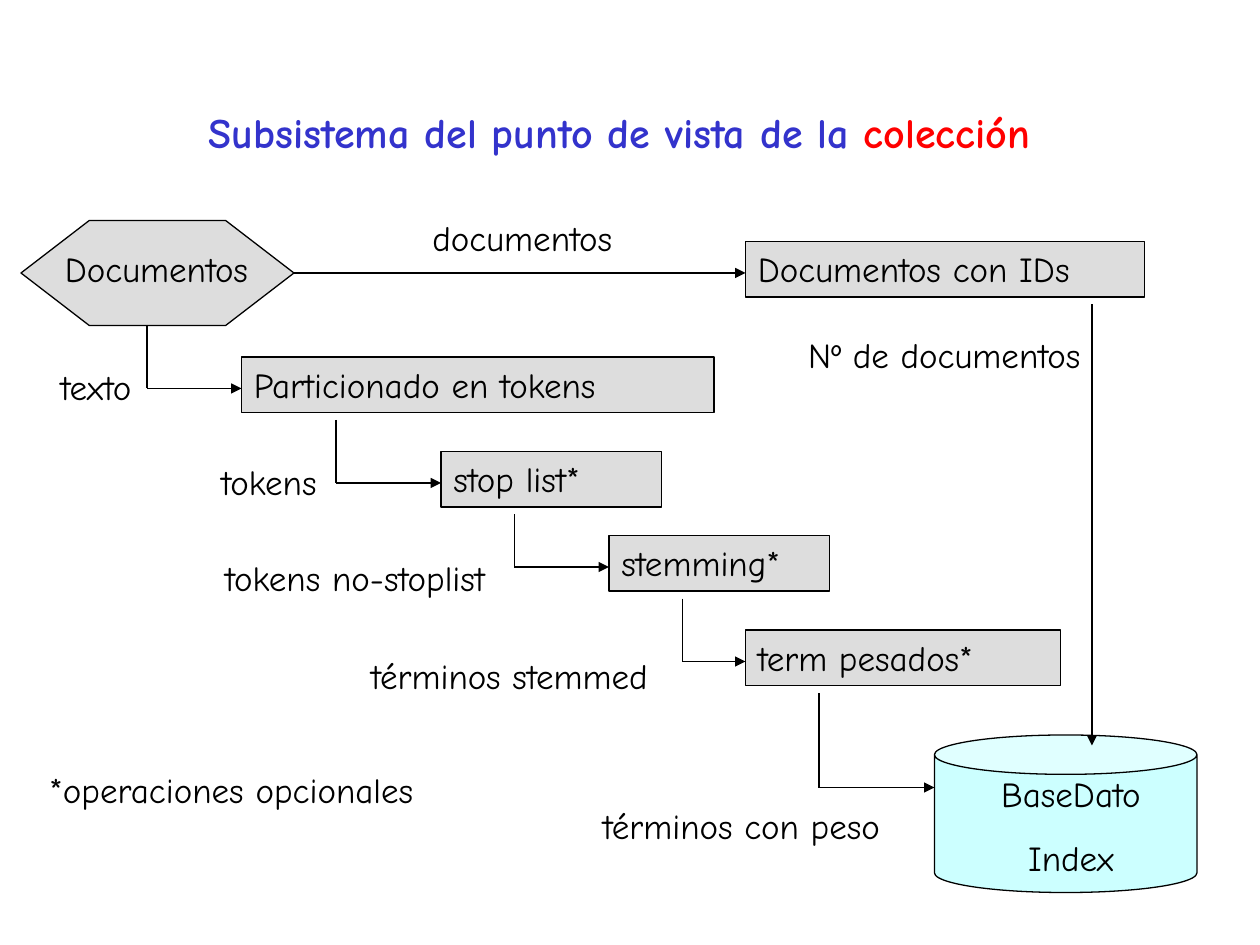
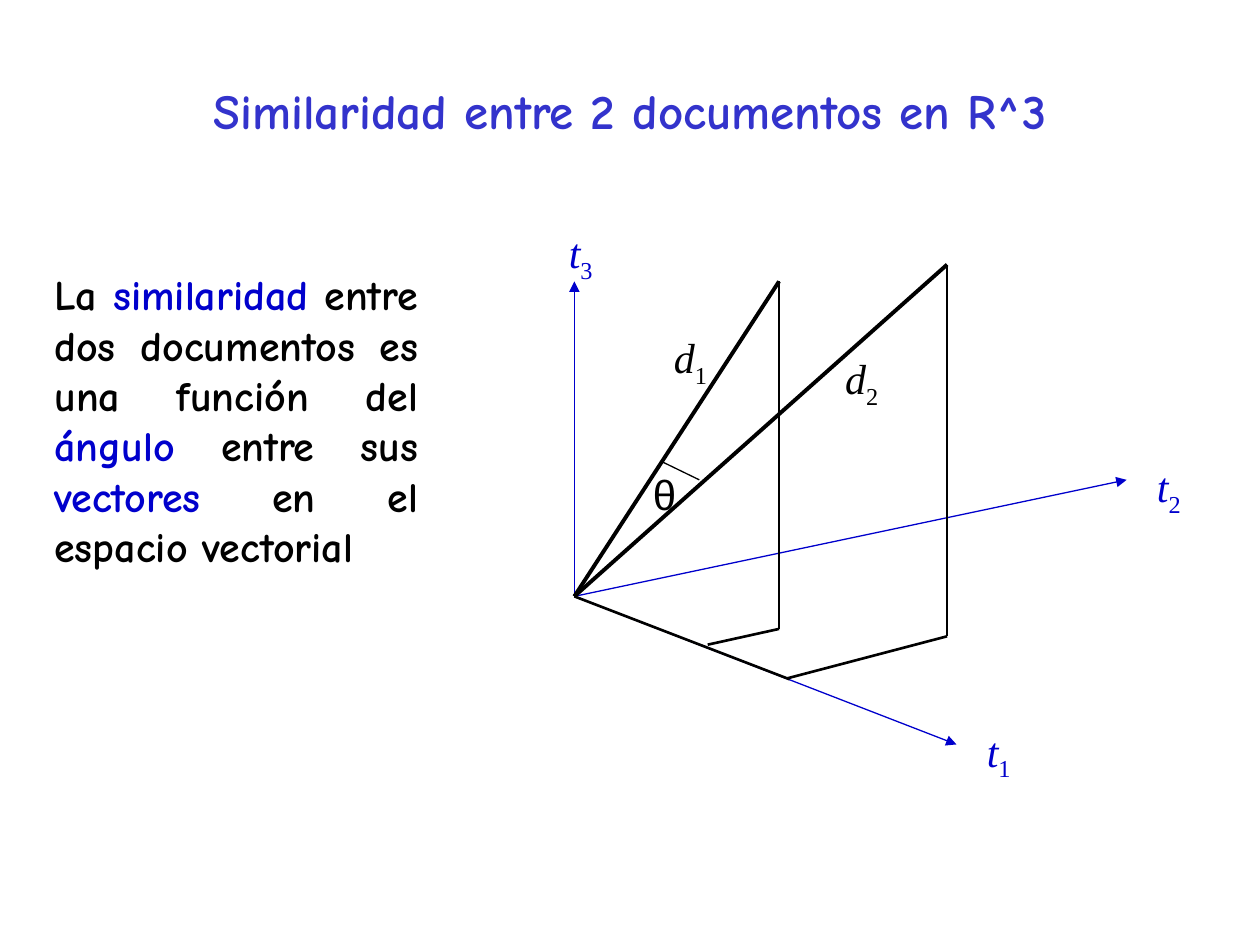
from dataclasses import dataclass

from lxml import etree
from pptx import Presentation
from pptx import util as u
from pptx.dml.color import RGBColor
from pptx.enum import shapes, text
from pptx.oxml import ns

PX = 7620  # EMU per px, 120 px to the inch
LEFT, CENTER, RIGHT, JUSTIFY = (
    text.PP_ALIGN.LEFT, text.PP_ALIGN.CENTER, text.PP_ALIGN.RIGHT, text.PP_ALIGN.JUSTIFY)


@dataclass(frozen=True)
class Theme:
    black: str = "000000"
    title: str = "3333CC"
    accent: str = "0000CC"
    red: str = "FF0000"
    box: str = "DDDDDD"
    store: str = "CCFFFF"
    font: str = "Comic Neue"
    math: str = "Times New Roman"
    greek: str = "Arial"
    label: int = 20
    body: int = 24
    heading: int = 28
    thin: float = 0.75
    medium: float = 1.5
    thick: float = 2.25


T = Theme()


# Shared drawing helpers
def rgb(color):
    return RGBColor.from_string(color)


def emu(*lengths):
    return [n * PX for n in lengths]


def write(sp, paragraphs, size=T.label, align=LEFT, font=T.font, bold=False,
          before=12.5, anchor=text.MSO_ANCHOR.TOP, grow=True):
    """Fill sp; each paragraph is a list of (text, colour) runs."""
    tf = sp.text_frame
    tf.word_wrap = True
    tf.vertical_anchor = anchor
    if grow:
        tf.auto_size = text.MSO_AUTO_SIZE.SHAPE_TO_FIT_TEXT
    for i, runs in enumerate(paragraphs):
        p = tf.add_paragraph() if i else tf.paragraphs[0]
        p.alignment, p.space_before = align, u.Pt(before)
        p.font.name, p.font.size, p.font.bold = font, u.Pt(size), bold
        for words, color in runs:
            r = p.add_run()
            r.text = words
            r.font.color.rgb = rgb(color)
    return tf


def add_label(parent, x, y, w, *lines, h=53, **style):
    sp = parent.add_textbox(*emu(x, y, w, h))
    write(sp, [[(line, T.black)] for line in lines], **style)


def add_node(parent, kind, x, y, w, h, fill):
    sp = parent.add_shape(kind, *emu(x, y, w, h))
    sp.shadow.inherit = False
    sp.fill.solid()
    sp.fill.fore_color.rgb = rgb(fill)
    sp.line.color.rgb = rgb(T.black)
    sp.line.width = u.Pt(T.thin)
    return sp


def add_line(parent, start, end, color=T.black, width=T.thin, arrow=False):
    line = parent.add_connector(shapes.MSO_CONNECTOR.STRAIGHT, *emu(*start, *end))
    line.line.color.rgb = rgb(color)
    line.line.width = u.Pt(width)
    if arrow:
        etree.SubElement(line.line._get_or_add_ln(), ns.qn("a:tailEnd"), type="triangle")
    etree.SubElement(line._element.spPr, ns.qn("a:effectLst"))


def add_title(s, x, y, runs, size):
    sp = s.shapes.add_textbox(*emu(x, y, 1020, 150))
    write(sp, [runs], size, CENTER, bold=True, before=0,
          anchor=text.MSO_ANCHOR.MIDDLE, grow=False)


# Slide 1: flow from documents to the index
def add_elbow(parent, start, end):
    corner = (start[0], end[1])
    add_line(parent, start, corner)
    add_line(parent, corner, end, arrow=True)


def add_step(parent, x, y, w, name, source=None):
    """Grey box, reached by an elbow arrow that starts at source."""
    sp = add_node(parent, shapes.MSO_SHAPE.RECTANGLE, x, y, w, 53, T.box)
    write(sp, [[(name, T.black)]])
    if source:
        add_elbow(parent, source, (x, y + 30))


def add_documents(parent, x, y):
    sp = add_node(parent, shapes.MSO_SHAPE.HEXAGON, x, y, 260, 100, T.box)
    sp.adjustments[0] = 0.65
    add_label(parent, x + 30, y + 20, 240, "Documentos")
    add_line(parent, (x + 260, y + 50), (x + 690, y + 50), arrow=True)


def add_index(parent, x, y):
    add_node(parent, shapes.MSO_SHAPE.CAN, x, y, 250, 150, T.store)
    add_label(parent, x + 10, y + 30, 240, "BaseDato", "Index", h=113, align=CENTER)
    add_elbow(parent, (x - 110, y - 40), (x, y + 50))
    add_line(parent, (x + 150, y - 410), (x + 150, y + 10), arrow=True)


def build_collection_slide(s):
    add_title(s, 80, 50, [("Subsistema del punto de vista de la ", T.title),
                          ("colección", T.red)], T.body)
    parent = s.shapes
    add_documents(parent, 20, 210)
    add_step(parent, 710, 230, 380, "Documentos con IDs")
    for step in (
        (230, 340, 450, "Particionado en tokens", (140, 310)),
        (420, 430, 210, "stop list*", (320, 400)),
        (580, 510, 210, "stemming*", (490, 490)),
        (710, 600, 300, "term pesados*", (650, 570)),
    ):
        add_step(parent, *step)
    add_index(parent, 890, 700)

    # Names of what flows along each arrow
    for x, y, w, words, align in (
        (400, 200, 240, "documentos", LEFT),
        (722, 312, 355, "Nº de documentos", CENTER),
        (46, 342, 120, "texto", LEFT),
        (199, 433, 140, "tokens", LEFT),
        (172, 524, 313, "tokens no-stoplist ", RIGHT),
        (280, 617, 360, "términos stemmed ", RIGHT),
        (510, 760, 340, "términos con peso", RIGHT),
        (35, 726, 450, "*operaciones opcionales", LEFT),
    ):
        add_label(parent, x, y, w, words, align=align)


# Slide 2: two document vectors in space
def add_symbol(parent, x, y, w, letter, index, color):
    sp = parent.add_textbox(*emu(x, y, w, 67))
    tf = write(sp, [[(letter, color), (index, color)]], T.body, font=T.math, before=15)
    variable, subscript = tf.paragraphs[0].runs
    variable.font.italic = True
    subscript.font._element.set("baseline", "-25000")


def add_vector_plot(s, x, y):
    parent = s.shapes.add_group_shape().shapes

    def at(dx, dy):
        return x + dx, y + dy

    origin = at(17, 358)

    # Axes
    for index, tip, name in (("1", (381, 499), (398, 475)),
                             ("2", (543, 247), (560, 223)),
                             ("3", (17, 58), (0, 0))):
        add_line(parent, origin, at(*tip), T.accent, arrow=True)
        add_symbol(parent, *at(*name), 50, "t", index, T.accent)

    # Document vectors with their projections
    for index, tip, foot, base, name in (
        ("1", (212, 58), (212, 389), (144, 404), (100, 100)),
        ("2", (372, 42), (372, 396), (220, 436), (263, 120)),
    ):
        add_line(parent, origin, at(*tip), width=T.thick)
        add_line(parent, at(*tip), at(*foot), width=T.medium)
        add_line(parent, at(*base), at(*foot), width=T.medium)
        add_symbol(parent, *at(*name), 59, "d", index, T.black)
    add_line(parent, origin, at(222, 437), width=T.medium)

    # Angle
    add_line(parent, at(101, 230), at(136, 247))
    add_label(parent, *at(80, 230), 59, "θ", h=60, size=T.body, font=T.greek, before=15)


def build_similarity_slide(s):
    add_title(s, 90, 30, [("Similaridad entre 2 documentos en R^3", T.title)], T.heading)
    sp = s.shapes.add_textbox(*emu(40, 250, 370, 300))
    write(sp, [[("La ", T.black), ("similaridad", T.accent),
                (" entre dos documentos es una función del ", T.black),
                ("ángulo", T.accent), (" entre sus ", T.black),
                ("vectores", T.accent), (" en el espacio vectorial", T.black)]],
          T.body, JUSTIFY, bold=True, before=15)
    add_vector_plot(s, 530, 210)


def main():
    prs = Presentation()
    prs.slide_width, prs.slide_height = emu(1200, 900)
    for build in (build_collection_slide, build_similarity_slide):
        build(prs.slides.add_slide(prs.slide_layouts[6]))
    prs.save("out.pptx")


if __name__ == "__main__":
    main()
